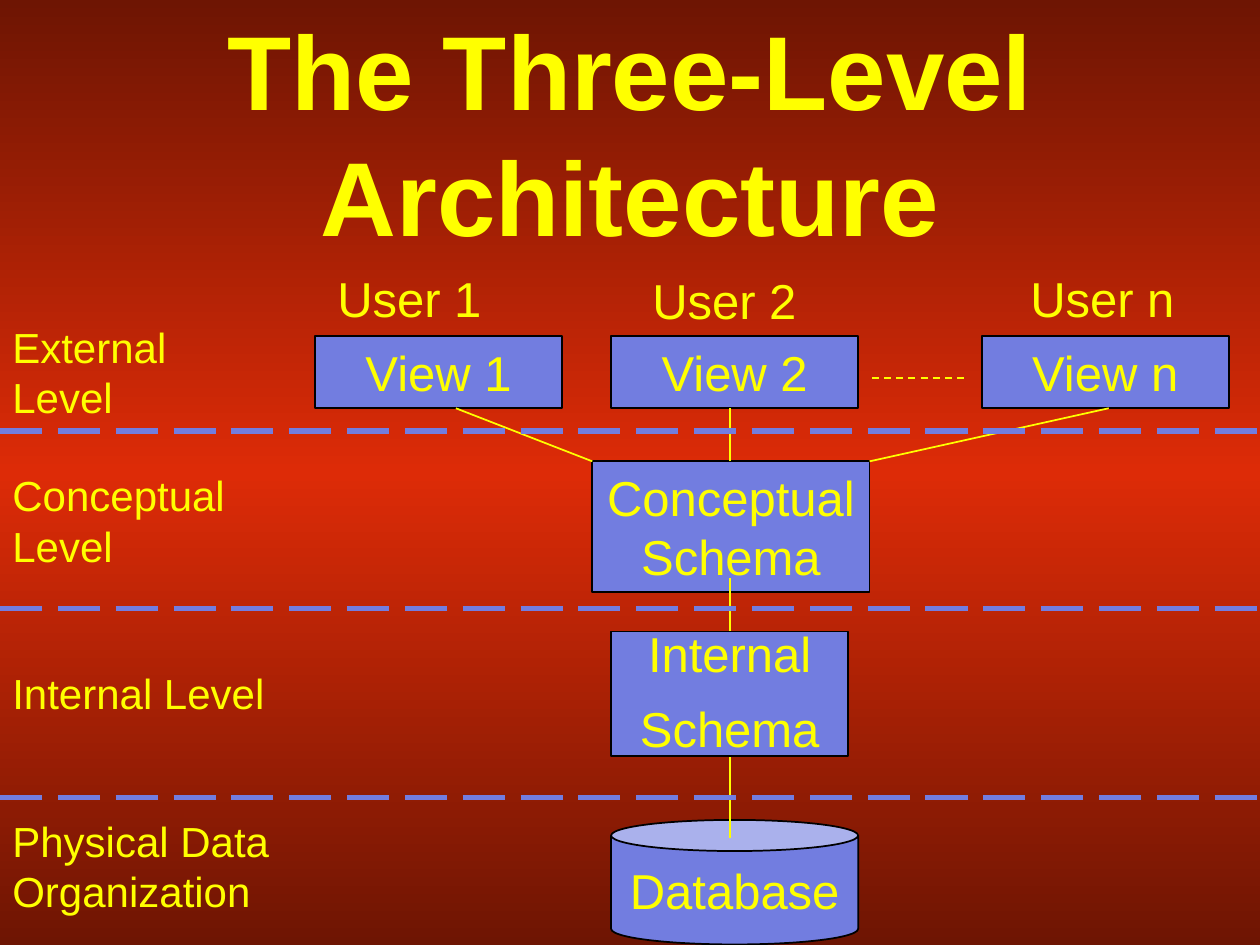
"""Build a slide on the three-level database architecture."""
from copy import deepcopy

from lxml import etree
from pptx import Presentation
from pptx.dml.color import RGBColor
from pptx.enum import dml, shapes, text
from pptx.oxml.ns import qn
from pptx.util import Cm, Pt

YELLOW, BLUE, BLACK = "FFFF00", "727DE0", "000000"
DARK, RED = "6E1503", "DD2B07"
RECT, CAN = shapes.MSO_SHAPE.RECTANGLE, shapes.MSO_SHAPE.CAN
TOP, MID = text.MSO_ANCHOR.TOP, text.MSO_ANCHOR.MIDDLE
LEFT, MIDDLE = text.PP_ALIGN.LEFT, text.PP_ALIGN.CENTER
DASH = dml.MSO_LINE

rgb = RGBColor.from_string

deck = Presentation()
deck.slide_width, deck.slide_height = Cm(25.4), Cm(19.05)
slide = deck.slides.add_slide(deck.slide_layouts[6])

back = slide.background.fill
back.gradient()
back.gradient_angle = 90
first = back.gradient_stops[0]._gs
first.addnext(deepcopy(first))
for stop, place, tone in zip(back.gradient_stops, (0, 0.5, 1), (DARK, RED, DARK)):
    stop.position = place
    stop.color.rgb = rgb(tone)


def write(words, box, size, align=LEFT, anchor=TOP, kind=None, bold=False):
    """Add text in a plain box, or in a filled shape if a kind is given."""
    place = [Cm(n) for n in box]
    if kind is None:
        shape = slide.shapes.add_textbox(*place)
    else:
        shape = slide.shapes.add_shape(kind, *place)
        shape.shadow.inherit = False
        shape.fill.solid()
        shape.fill.fore_color.rgb = rgb(BLUE)
        shape.line.color.rgb = rgb(BLACK)
        shape.line.width = Pt(1)
    frame = shape.text_frame
    frame.word_wrap = kind != CAN
    frame.vertical_anchor = anchor
    frame.text = words
    for para in frame.paragraphs:
        para.alignment = align
        para.font.name = "Arial"
        para.font.size = Pt(size)
        para.font.bold = bold
        para.font.color.rgb = rgb(YELLOW)
    return frame


def link(x1, y1, x2, y2, tone=YELLOW, width=1, dash=None):
    """Draw a straight line without a shadow."""
    line = slide.shapes.add_connector(
        shapes.MSO_CONNECTOR.STRAIGHT, Cm(x1), Cm(y1), Cm(x2), Cm(y2))
    line.line.color.rgb = rgb(tone)
    line.line.width = Pt(width)
    line.line.dash_style = dash
    etree.SubElement(line._element.spPr, qn("a:effectLst"))


write("The Three-Level Architecture", (0, 1.07, 25.4, 3.18), 60, MIDDLE, MID, bold=True)

for name, top, wide, high in (
    ("External Level", 6.35, 5.72, 2.29),
    ("Conceptual Level", 9.35, 5.72, 2.29),
    ("Internal Level", 13.33, 5.72, 1.27),
    ("Physical Data Organization", 16.31, 7.62, 2.29),
):
    write(name, (0, top, wide, high), 24)

for mark, left, user, top in (
    ("1", 6.35, 6.55, 5.28),
    ("2", 12.32, 12.9, 5.33),
    ("n", 19.79, 20.52, 5.28),
):
    write(f"View {mark}", (left, 6.78, 4.98, 1.45), 28, MIDDLE, kind=RECT)
    write(f"User {mark}", (user, top, 3.61, 1.45), 28)

write("Conceptual Schema", (11.94, 9.3, 5.59, 2.64), 28, MIDDLE, kind=RECT)
inner = write("Internal\nSchema", (12.32, 12.73, 4.78, 2.51), 28, MIDDLE, kind=RECT)
for para in inner.paragraphs:
    para.line_spacing = 0.75
inner.paragraphs[1].space_before = Pt(17.5)
write("Database", (12.32, 16.53, 4.98, 2.51), 28, MIDDLE, MID, CAN)

axis = 14.72
for low, high in ((11.94, 9.19), (axis, axis), (17.53, 22.35)):
    link(low, 9.3, high, 8.23)
for start, end in ((11.66, 12.73), (15.27, 16.89)):
    link(axis, start, axis, end)
link(17.58, 7.62, 19.48, 7.62, dash=DASH.DASH)

for y in (8.69, 12.27, 16.08):
    link(0, y, 25.4, y, BLUE, 3, DASH.LONG_DASH)

deck.save("out.pptx")
